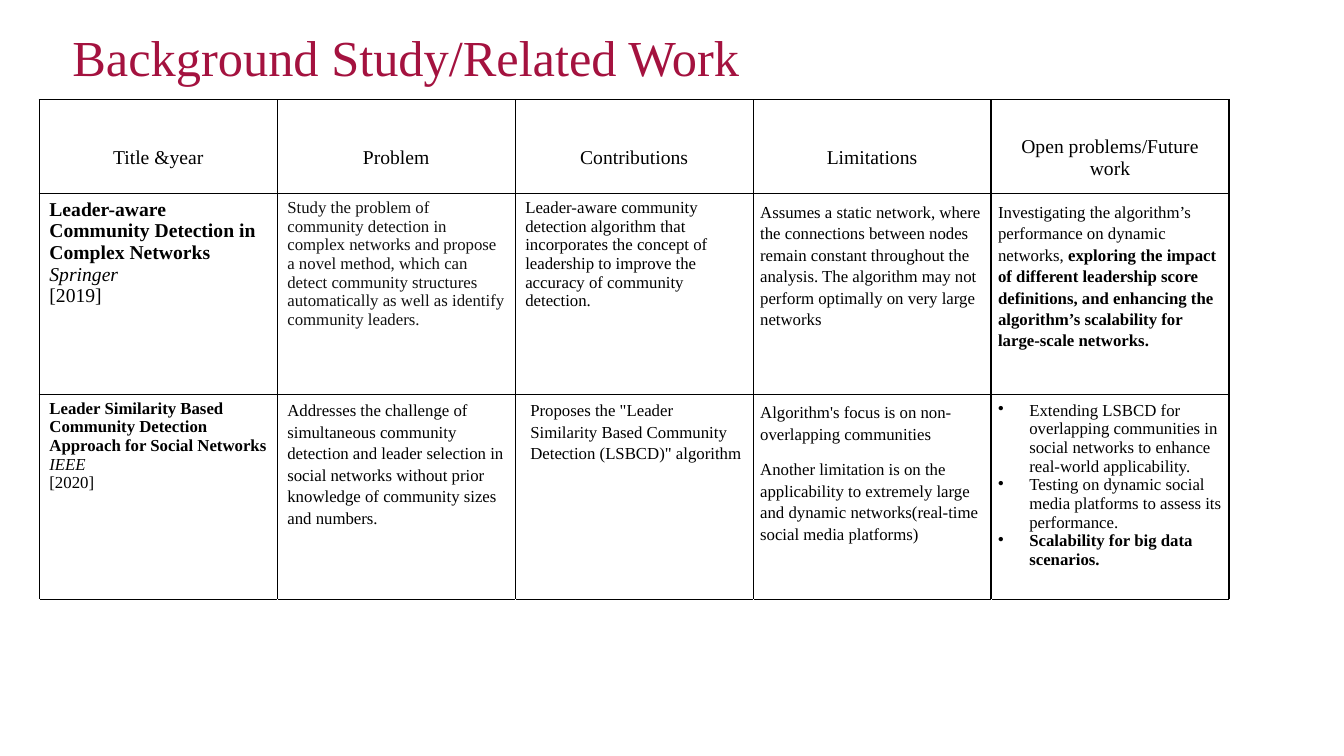
from lxml import etree
from pptx import Presentation
from pptx.dml.color import RGBColor
from pptx.enum.text import MSO_ANCHOR, PP_ALIGN
from pptx.oxml.ns import qn
from pptx.util import Inches, Pt

MIDDLE = MSO_ANCHOR.MIDDLE
CENTER = PP_ALIGN.CENTER
FONT = "Times New Roman"
COLORS = {"title": "A4123F", "text": "000000", "soft": "111111", "white": "FFFFFF"}
BOLD, ITALIC = {"bold": True}, {"italic": True}
TIGHT = Inches(0.07)
SIDES = ("margin_left", "margin_right", "margin_top", "margin_bottom")

HEADERS = ["Title &year", "Problem", "Contributions", "Limitations", "Open problems/Future work"]

# Each paragraph is a list of (text, font values) spans.
STUDIES = [
    [
        {"size": 14, "paragraphs": [
            [("Leader-aware Community Detection in Complex Networks", BOLD)],
            [("Springer", ITALIC)],
            [("[2019]", {})]]},
        {"color": "soft", "paragraphs": [
            [("Study the problem of community detection in complex networks and propose a novel "
              "method, which can detect community structures automatically as well as identify "
              "community leaders.", {})]]},
        {"paragraphs": [
            [("Leader-aware community detection algorithm that incorporates the concept of "
              "leadership to improve the accuracy of community detection.", {})]]},
        {"tight": True, "format": {"line_spacing": 1.15, "space_after": Pt(12)}, "paragraphs": [
            [("Assumes a static network, where the connections between nodes remain constant "
              "throughout the analysis. The algorithm may not perform optimally on very large "
              "networks", {})]]},
        {"tight": True, "format": {"line_spacing": 1.15, "space_after": Pt(12)}, "paragraphs": [
            [("Investigating the algorithm’s performance on dynamic networks,", {}),
             (" exploring the impact of different leadership score definitions, and enhancing "
              "the algorithm’s scalability for large-scale networks.", BOLD)]]},
    ],
    [
        {"paragraphs": [
            [("Leader Similarity Based Community Detection Approach for Social Networks", BOLD)],
            [("IEEE", ITALIC)],
            [("[2020]", {})]]},
        {"format": {"line_spacing": 1.15, "space_after": Pt(10)}, "paragraphs": [
            [("Addresses the challenge of simultaneous community detection and leader selection "
              "in social networks without prior knowledge of community sizes and numbers.", {})]]},
        {"format": {"line_spacing": 1.15}, "indent": (0.05, 0), "paragraphs": [
            [('Proposes the "Leader Similarity Based Community Detection (LSBCD)" algorithm', {})]]},
        {"tight": True, "format": {"line_spacing": 1.15, "space_after": Pt(10)}, "paragraphs": [
            [("Algorithm's focus is on non-overlapping communities", {})],
            [("Another limitation is on the applicability to extremely large and dynamic "
              "networks(real-time social media platforms)", {})]]},
        {"tight": True, "indent": (0.31, -0.31), "bullet": "•", "paragraphs": [
            [("Extending LSBCD for overlapping communities in social networks to enhance "
              "real-world applicability.", {})],
            [("Testing on dynamic social media platforms to assess its performance.", {})],
            [("Scalability for big data scenarios.", BOLD)]]},
    ],
]


def write_text(frame, content):
    """Fill a text frame with the paragraphs and formats of one content dict."""
    for index, spans in enumerate(content["paragraphs"]):
        para = frame.paragraphs[0] if index == 0 else frame.add_paragraph()
        for name, value in content.get("format", {}).items():
            setattr(para, name, value)
        if "indent" in content:
            properties = para._p.get_or_add_pPr()
            left, first = content["indent"]
            properties.set("marL", str(Inches(left)))
            properties.set("indent", str(Inches(first)))
            if "bullet" in content:
                etree.SubElement(properties, qn("a:buChar"), char=content["bullet"])
        for text, style in spans:
            span = para.add_run()
            span.text = text
            values = {"name": FONT, "size": Pt(content.get("size", 12)), "bold": False, **style}
            for name, value in values.items():
                setattr(span.font, name, value)
            color = COLORS[content.get("color", "text")]
            span.font.color.rgb = RGBColor.from_string(color)


def set_borders(cell, borders):
    """Draw cell edges from a dict of edge tag to (colour name, points)."""
    properties = cell._tc.get_or_add_tcPr()
    for position, (tag, (color, width)) in enumerate(borders.items()):
        line = etree.Element(qn(tag), w=str(Pt(width)))
        fill = etree.SubElement(line, qn("a:solidFill"))
        etree.SubElement(fill, qn("a:srgbClr"), val=COLORS[color])
        properties.insert(position, line)


deck = Presentation()
deck.slide_width, deck.slide_height = Inches(13.33), Inches(7.5)
page = deck.slides.add_slide(deck.slide_layouts[6])

title = page.shapes.add_textbox(Inches(0.62), Inches(0.37), Inches(11.5), Inches(0.46))
title.text_frame.word_wrap = True
title.text_frame.vertical_anchor = MIDDLE
write_text(title.text_frame, {
    "size": 36, "color": "title", "format": {"line_spacing": 0.9},
    "paragraphs": [[("Background Study/Related Work", {})]]})

row_heights = [0.93, 1.99, 2.04, 0.7]
table = page.shapes.add_table(len(row_heights), len(HEADERS), Inches(0.39), Inches(0.99),
                              Inches(11.8), Inches(sum(row_heights))).table
table.first_row = table.horz_banding = False
for column in table.columns:
    column.width = Inches(2.36)
for row, height in zip(table.rows, row_heights):
    row.height = Inches(height)

grid = {tag: ("text", 1) for tag in ("a:lnL", "a:lnR", "a:lnT", "a:lnB")}
open_edges = {tag: ("white", 0.75) for tag in grid} | {"a:lnT": ("text", 1)}
last_row = len(row_heights) - 1
for row_index, row in enumerate(table.rows):
    for cell in row.cells:
        cell.fill.background()
        set_borders(cell, open_edges if row_index == last_row else grid)

for column_index, header in enumerate(HEADERS):
    cell = table.cell(0, column_index)
    cell.vertical_anchor = MIDDLE
    cell.margin_top = Inches(0.27)
    write_text(cell.text_frame, {"size": 14, "format": {"alignment": CENTER},
                                 "paragraphs": [[(header, {})]]})

for row_index, study in enumerate(STUDIES, start=1):
    for column_index, content in enumerate(study):
        cell = table.cell(row_index, column_index)
        if content.get("tight"):
            for side in SIDES:
                setattr(cell, side, TIGHT)
        write_text(cell.text_frame, content)

deck.save("out.pptx")
